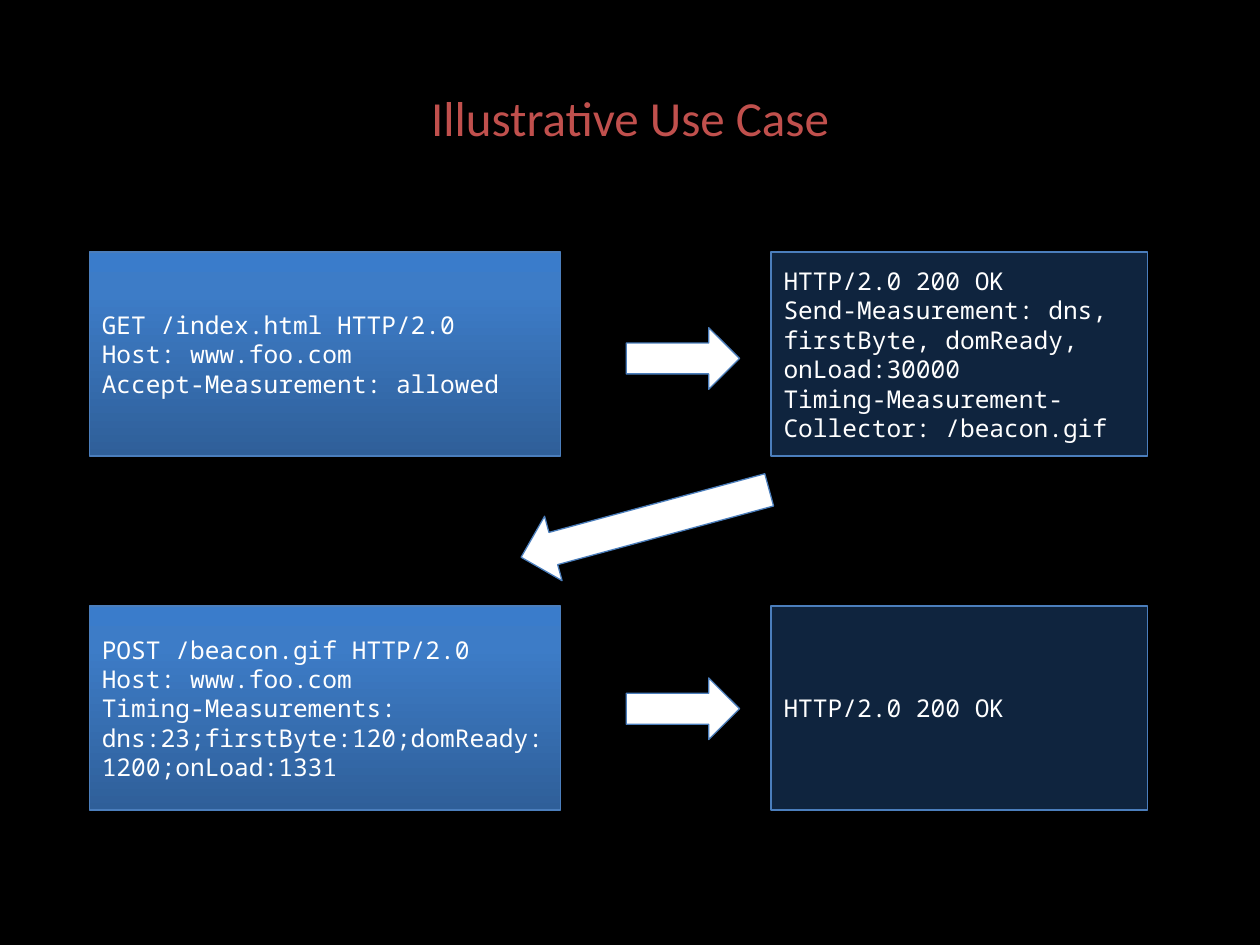
from copy import deepcopy
from pptx import Presentation
from pptx.dml.color import RGBColor
from pptx.enum.shapes import MSO_SHAPE
from pptx.enum.text import MSO_ANCHOR, PP_ALIGN
from pptx.oxml.ns import qn
from pptx.util import Inches, Pt


def color(code):
    return RGBColor.from_string(code)


def draw(kind, left, top, width, height):
    shape = slide.shapes.add_shape(
        kind, Inches(left), Inches(top), Inches(width), Inches(height))
    shape.shadow.inherit = False
    shape.line.color.rgb = color("4B7EBC")
    shape.line.width = Pt(0.75)
    return shape


deck = Presentation()
deck.slide_width, deck.slide_height = Inches(10), Inches(7.5)
slide = deck.slides.add_slide(deck.slide_layouts[6])
slide.background.fill.solid()
slide.background.fill.fore_color.rgb = color("000000")

title = slide.shapes.add_textbox(Inches(0.5), Inches(0.3), Inches(9), Inches(1.25))
frame = title.text_frame
frame.word_wrap = True
frame.vertical_anchor = MSO_ANCHOR.MIDDLE
line = frame.paragraphs[0]
line.text = "Illustrative Use Case"
line.alignment = PP_ALIGN.CENTER
line.font.size = Pt(28)
line.font.name = "Calibri"
line.font.color.rgb = color("C0504D")

rows = [
    (2, "GET /index.html HTTP/2.0\vHost: www.foo.com\vAccept-Measurement: allowed",
     "HTTP/2.0 200 OK\vSend-Measurement: dns, firstByte, domReady, onLoad:30000\n"
     "Timing-Measurement-Collector: /beacon.gif"),
    (4.81, "POST /beacon.gif HTTP/2.0\vHost: www.foo.com\vTiming-Measurements: "
     "dns:23;firstByte:120;domReady:1200;onLoad:1331",
     "HTTP/2.0 200 OK"),
]
stops = [(0, "2F5F99"), (0.8, "3D7CC7"), (1, "3A7CCB")]

for top, ask, reply in rows:
    left = draw(MSO_SHAPE.RECTANGLE, 0.71, top, 3.74, 1.62)
    left.fill.gradient()
    left.fill.gradient_angle = 90
    group = left._element.spPr.find(qn("a:gradFill")).find(qn("a:gsLst"))
    group.insert(1, deepcopy(group[1]))
    for stop, (place, code) in zip(left.fill.gradient_stops, stops):
        stop.position = place
        stop.color.rgb = color(code)

    right = draw(MSO_SHAPE.RECTANGLE, 6.12, top, 2.99, 1.62)
    right.fill.solid()
    right.fill.fore_color.rgb = color("0F243E")

    for box, text in ((left, ask), (right, reply)):
        frame = box.text_frame
        frame.text = text
        frame.word_wrap = True
        frame.vertical_anchor = MSO_ANCHOR.MIDDLE
        for line in frame.paragraphs:
            line.alignment = PP_ALIGN.LEFT
            for run in line.runs:
                run.font.size = Pt(14)
                run.font.name = "Noto Sans Mono"
                run.font.color.rgb = color("FFFFFF")

arrows = [
    (4.97, 2.6, 0.9, 0.49, 0),
    (4.1, 3.89, 2.04, 0.53, 164.8),
    (4.97, 5.38, 0.9, 0.49, 0),
]
for left, top, width, height, turn in arrows:
    arrow = draw(MSO_SHAPE.RIGHT_ARROW, left, top, width, height)
    arrow.rotation = turn
    arrow.fill.solid()
    arrow.fill.fore_color.rgb = color("FFFFFF")

deck.save("out.pptx")
